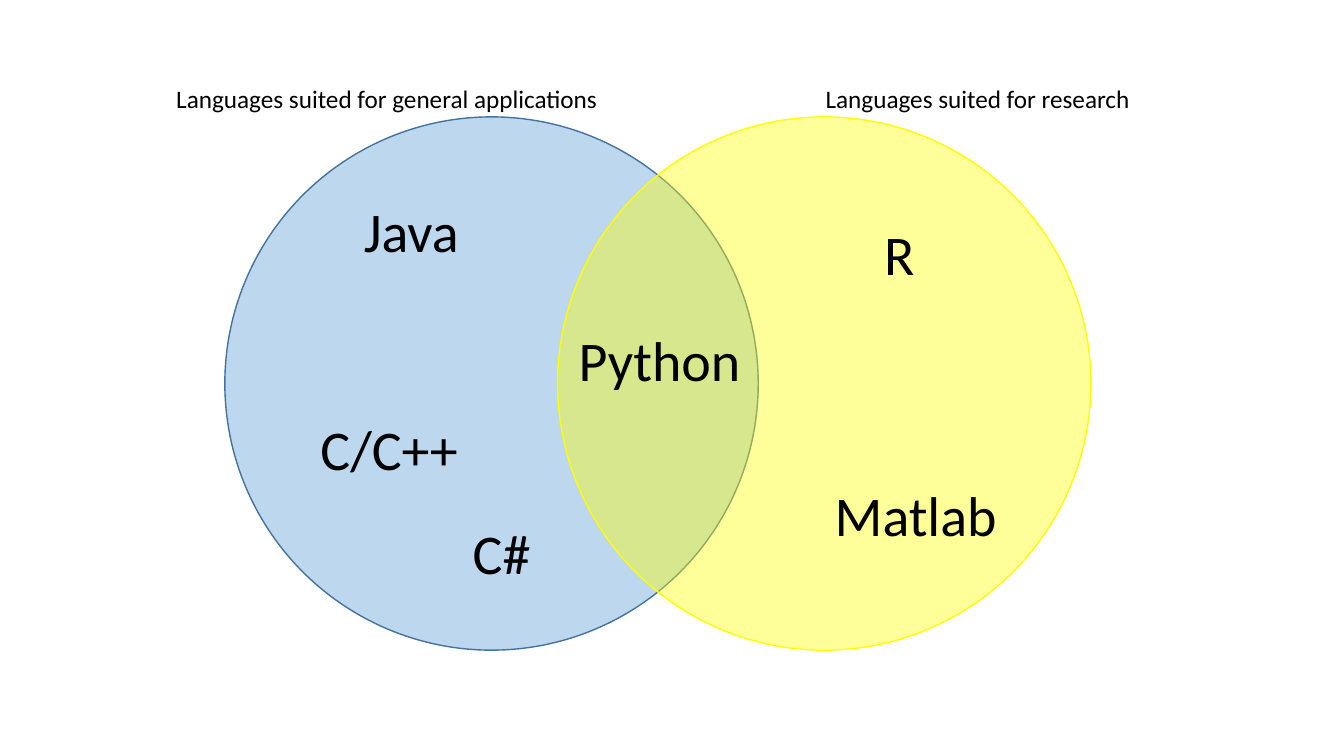
from dataclasses import dataclass

from lxml.etree import SubElement
from pptx import Presentation
from pptx.dml.color import RGBColor
from pptx.enum.shapes import MSO_SHAPE
from pptx.enum.text import MSO_AUTO_SIZE
from pptx.oxml.ns import qn
from pptx.util import Inches, Pt


@dataclass(frozen=True)
class Theme:
    font: str = "Calibri"
    text: str = "000000"
    blue: str = "5B9BD5"
    blue_line: str = "43739E"
    yellow: str = "FFFF00"
    opacity: int = 40
    caption_size: int = 18
    language_size: int = 40


THEME = Theme()

CIRCLES = [
    (THEME.blue, THEME.blue_line),
    (THEME.yellow, THEME.yellow),
]
CAPTIONS = [
    ("Languages suited for research", 8.09, 3.57),
    ("Languages suited for general applications", 1.65, 4.66),
]
LANGUAGES = [
    ("R", 8.67, 2.13, 1.29),
    ("Matlab", 8.18, 4.72, 1.89),
    ("Python", 5.64, 3.18, 1.89),
    ("Java", 3.51, 1.9, 1.29),
    ("C/C++", 3.08, 4.06, 1.72),
    ("C#", 4.59, 5.1, 1.29),
]

CIRCLE_LEFT, CIRCLE_TOP = 2.23, 1.16
DIAMETER, CIRCLE_STEP = 5.29, 3.3
CAPTION_TOP, CAPTION_HEIGHT = 0.78, 0.4
LANGUAGE_HEIGHT = 0.77


def add_circle(slide, left, fill, line):
    sp = slide.shapes.add_shape(
        MSO_SHAPE.OVAL, Inches(left), Inches(CIRCLE_TOP), Inches(DIAMETER), Inches(DIAMETER)
    )
    sp.shadow.inherit = False
    sp.fill.solid()
    sp.fill.fore_color.rgb = RGBColor.from_string(fill)
    color = sp._element.spPr.find(qn("a:solidFill")).find(qn("a:srgbClr"))
    SubElement(color, qn("a:alpha"), val=str(THEME.opacity * 1000))
    sp.line.color.rgb = RGBColor.from_string(line)
    sp.line.width = Pt(1)


def add_text(slide, text, *, left, top, width, height, size):
    sp = slide.shapes.add_textbox(Inches(left), Inches(top), Inches(width), Inches(height))
    tf = sp.text_frame
    tf.word_wrap = True
    tf.auto_size = MSO_AUTO_SIZE.SHAPE_TO_FIT_TEXT
    r = tf.paragraphs[0].add_run()
    r.text = text
    r.font.name = THEME.font
    r.font.size = Pt(size)
    r.font.color.rgb = RGBColor.from_string(THEME.text)


def main():
    prs = Presentation()
    prs.slide_width, prs.slide_height = Inches(13.33), Inches(7.5)
    slide = prs.slides.add_slide(prs.slide_layouts.get_by_name("Blank"))

    for i, (fill, line) in enumerate(CIRCLES):
        add_circle(slide, CIRCLE_LEFT + i * CIRCLE_STEP, fill, line)
    for text, left, width in CAPTIONS:
        add_text(slide, text, left=left, top=CAPTION_TOP, width=width,
                 height=CAPTION_HEIGHT, size=THEME.caption_size)
    for text, left, top, width in LANGUAGES:
        add_text(slide, text, left=left, top=top, width=width,
                 height=LANGUAGE_HEIGHT, size=THEME.language_size)

    prs.save("out.pptx")


if __name__ == "__main__":
    main()
